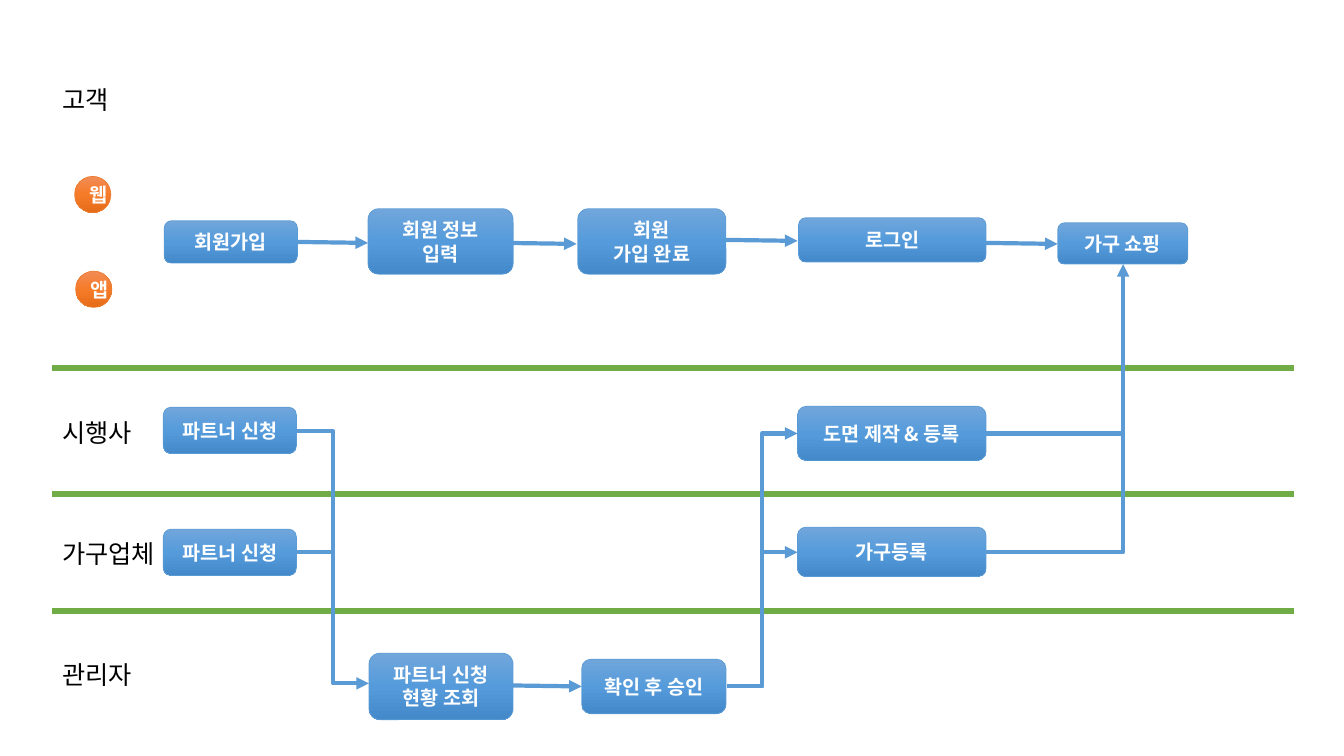
import copy
import dataclasses

import lxml.etree
import pptx
import pptx.dml.color
import pptx.enum.shapes
import pptx.enum.text
import pptx.oxml.ns
import pptx.shapes.autoshape
import pptx.shapes.connector
import pptx.slide
import pptx.text.text
import pptx.util
from pptx.dml.color import RGBColor
from pptx.enum.shapes import MSO_CONNECTOR, MSO_SHAPE
from pptx.util import Inches

FONT_NAME = "Noto Sans CJK KR"
BLACK = RGBColor(0x00, 0x00, 0x00)
WHITE = RGBColor(0xFF, 0xFF, 0xFF)
GREEN = RGBColor(0x70, 0xAD, 0x47)
BLUE = RGBColor(0x5B, 0x9B, 0xD5)
ORANGE = RGBColor(0xED, 0x7D, 0x31)
BLUE_GRADIENT = (
    RGBColor(0x71, 0xA6, 0xDB), RGBColor(0x55, 0x9B, 0xDB), RGBColor(0x44, 0x8A, 0xCA))
ORANGE_GRADIENT = (
    RGBColor(0xF1, 0x8C, 0x57), RGBColor(0xF6, 0x7B, 0x28), RGBColor(0xE5, 0x6C, 0x19))

LANE_LEFT, LANE_RIGHT = 0.52, 12.83
LABEL_WIDTH, LABEL_HEIGHT = 1.38, 0.4
CHANNEL_SIZE = 0.36


@dataclasses.dataclass(frozen=True)
class Node:
    """A filled shape with text; lengths are in inches."""

    text: str
    left: float
    top: float
    width: float
    height: float
    kind: MSO_SHAPE = MSO_SHAPE.ROUNDED_RECTANGLE
    gradient: tuple[RGBColor, ...] = BLUE_GRADIENT
    outline: RGBColor = BLUE


@dataclasses.dataclass(frozen=True)
class Link:
    """A line between two points in inches."""

    start: tuple[float, float]
    end: tuple[float, float]
    geometry: str = "line"
    arrow: bool = True
    color: RGBColor = BLUE
    width: float = 3


def channel(text: str, left: float, top: float) -> Node:
    """Describe a round orange channel badge."""
    return Node(text, left, top, CHANNEL_SIZE, CHANNEL_SIZE,
                MSO_SHAPE.OVAL, ORANGE_GRADIENT, ORANGE)


LANE_LABELS = {"고객": 0.99, "시행사": 4.29, "가구업체": 5.49, "관리자": 6.69}
LANE_DIVIDERS = [
    Link((LANE_LEFT, y), (LANE_RIGHT, y), arrow=False, color=GREEN, width=4.5)
    for y in (3.65, 4.9, 6.06)
]
NODES = [
    channel("웹", 0.74, 1.75),
    channel("앱", 0.75, 2.69),
    Node("회원가입", 1.63, 2.19, 1.32, 0.42),
    Node("회원 정보\n입력", 3.65, 2.07, 1.44, 0.65),
    Node("회원\n가입 완료", 5.73, 2.07, 1.47, 0.65),
    Node("로그인", 7.92, 2.16, 1.86, 0.44),
    Node("가구 쇼핑", 10.49, 2.21, 1.29, 0.41),
    Node("파트너 신청", 1.62, 4.04, 1.32, 0.46),
    Node("파트너 신청", 1.62, 5.25, 1.32, 0.46),
    Node("파트너 신청\n현황 조회", 3.66, 6.48, 1.43, 0.66),
    Node("확인 후 승인", 5.77, 6.54, 1.43, 0.54),
    Node("도면 제작 & 등록", 7.91, 4.03, 1.87, 0.54),
    Node("가구등록", 7.91, 5.23, 1.87, 0.49),
]
FLOWS = [
    Link((2.94, 2.4), (3.65, 2.41)),
    Link((5.01, 2.41), (5.72, 2.42)),
    Link((7.2, 2.38), (7.91, 2.39)),
    Link((9.78, 2.41), (10.49, 2.42)),
    Link((5.06, 6.8), (5.77, 6.81)),
    Link((2.95, 4.28), (3.66, 6.78), "bentConnector3"),
    Link((2.95, 5.48), (3.3, 6.28), "bentConnector2", arrow=False),
    Link((7.21, 6.81), (7.91, 4.3), "bentConnector3"),
    Link((7.21, 6.81), (7.91, 5.48), "bentConnector3"),
    Link((9.78, 4.3), (11.14, 2.62), "bentConnector2"),
    Link((9.78, 5.48), (11.14, 3.75), "bentConnector2", arrow=False),
]


def format_paragraph(paragraph: pptx.text.text._Paragraph, size: float,
                     color: RGBColor, bold: bool = False) -> None:
    """Set the paragraph's font for Latin and Korean text."""
    font = paragraph.font
    font.name = FONT_NAME
    font.size = pptx.util.Pt(size)
    font.bold = bold
    font.color.rgb = color
    properties = paragraph._p.find(".//" + pptx.oxml.ns.qn("a:defRPr"))
    lxml.etree.SubElement(properties, pptx.oxml.ns.qn("a:ea"), typeface=FONT_NAME)


def fill_gradient(shape: pptx.shapes.autoshape.Shape,
                  colors: tuple[RGBColor, ...]) -> None:
    """Fill a shape from top to bottom with evenly spaced colours."""
    shape.fill.gradient()
    shape.fill.gradient_angle = 270
    stop_list = shape.element.find(".//" + pptx.oxml.ns.qn("a:gsLst"))
    while len(stop_list) < len(colors):
        stop_list.append(copy.deepcopy(stop_list[0]))
    for index, (stop, color) in enumerate(zip(shape.fill.gradient_stops, colors)):
        stop.position = index / (len(colors) - 1)
        stop.color.rgb = color


def add_node(slide: pptx.slide.Slide, node: Node) -> pptx.shapes.autoshape.Shape:
    """Draw a process box or channel badge."""
    shape = slide.shapes.add_shape(
        node.kind, Inches(node.left), Inches(node.top),
        Inches(node.width), Inches(node.height))
    shape.shadow.inherit = False
    fill_gradient(shape, node.gradient)
    shape.line.color.rgb = node.outline
    shape.line.width = pptx.util.Pt(0.5)
    shape.text_frame.text = node.text
    shape.text_frame.vertical_anchor = pptx.enum.text.MSO_ANCHOR.MIDDLE
    for paragraph in shape.text_frame.paragraphs:
        paragraph.alignment = pptx.enum.text.PP_ALIGN.CENTER
        format_paragraph(paragraph, 14, WHITE, bold=True)
    return shape


def add_link(slide: pptx.slide.Slide, link: Link) -> pptx.shapes.connector.Connector:
    """Draw a straight or bent line, with an arrowhead if wanted."""
    kind = MSO_CONNECTOR.STRAIGHT if link.geometry == "line" else MSO_CONNECTOR.ELBOW
    connector = slide.shapes.add_connector(
        kind, *(Inches(value) for value in link.start + link.end))
    connector.line.color.rgb = link.color
    connector.line.width = pptx.util.Pt(link.width)
    properties = connector.element.spPr
    properties.find(pptx.oxml.ns.qn("a:prstGeom")).set("prst", link.geometry)
    if link.arrow:
        line = properties.find(pptx.oxml.ns.qn("a:ln"))
        lxml.etree.SubElement(line, pptx.oxml.ns.qn("a:tailEnd"), type="triangle")
    lxml.etree.SubElement(properties, pptx.oxml.ns.qn("a:effectLst"))
    return connector


def add_lane_label(slide: pptx.slide.Slide, text: str, center: float) -> None:
    """Write a lane name centred on the given height."""
    box = slide.shapes.add_textbox(
        Inches(LANE_LEFT), Inches(center - LABEL_HEIGHT / 2),
        Inches(LABEL_WIDTH), Inches(LABEL_HEIGHT))
    frame = box.text_frame
    frame.word_wrap = True
    frame.vertical_anchor = pptx.enum.text.MSO_ANCHOR.MIDDLE
    frame.text = text
    format_paragraph(frame.paragraphs[0], 18, BLACK)


def main() -> None:
    """Build the swimlane slide."""
    presentation = pptx.Presentation()
    presentation.slide_width = Inches(13.33)
    presentation.slide_height = Inches(7.5)
    slide = presentation.slides.add_slide(presentation.slide_layouts[6])
    for text, center in LANE_LABELS.items():
        add_lane_label(slide, text, center)
    for link in LANE_DIVIDERS + FLOWS:
        add_link(slide, link)
    for node in NODES:
        add_node(slide, node)
    presentation.save("out.pptx")


main()
